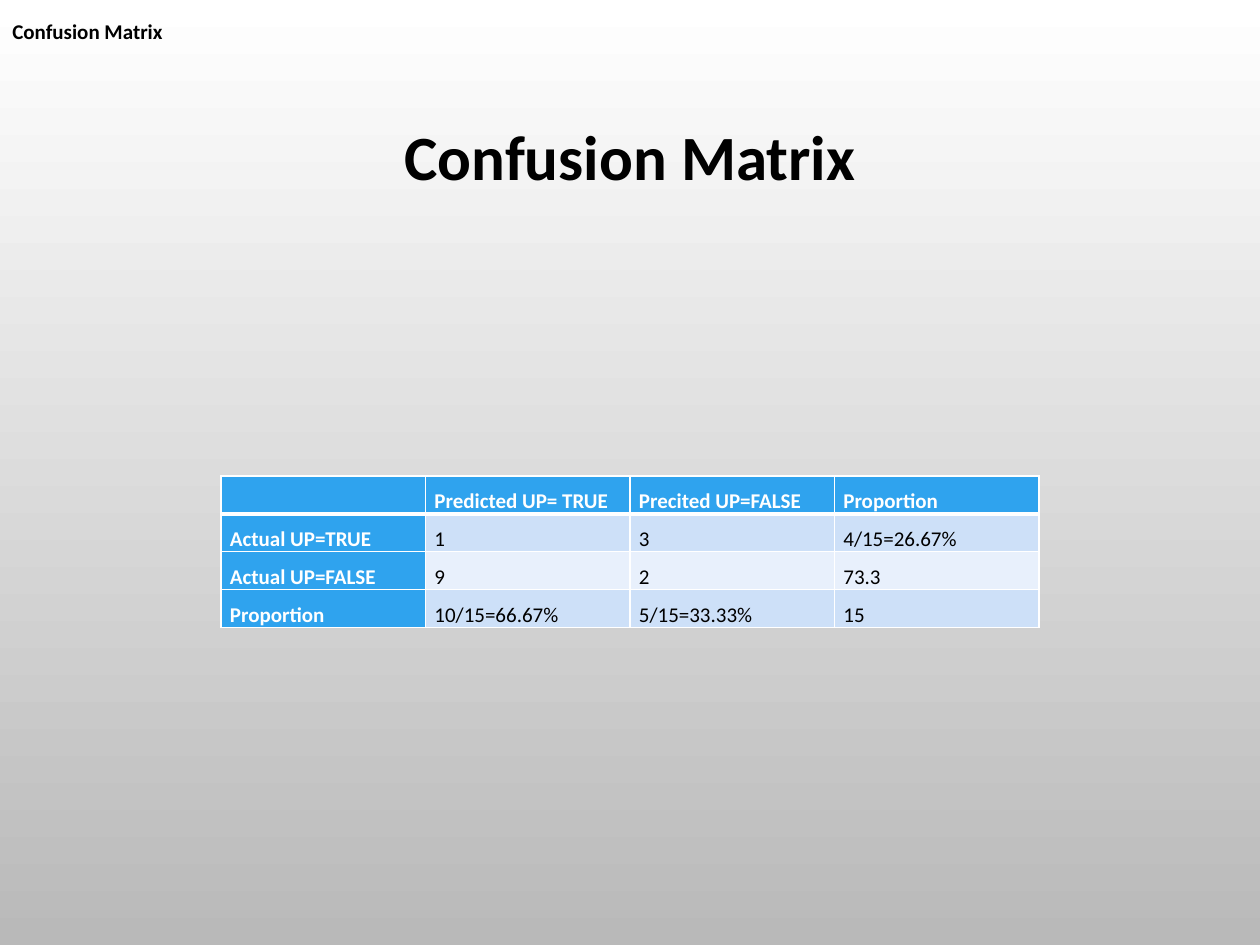
from lxml.etree import SubElement
from pptx import Presentation
from pptx.dml.color import RGBColor
from pptx.enum.text import MSO_ANCHOR as Anchor, PP_ALIGN as Align
from pptx.oxml.ns import qn
from pptx.util import Emu, Pt

COLORS = {
    "text": "000000",
    "white": "FFFFFF",
    "shade": "B9B9B9",
    "header": "2FA3EE",
    "odd": "CDE0F8",
    "even": "E8F0FC",
}
TITLE = "Confusion Matrix"
MATRIX = [
    ["", "Predicted UP= TRUE", "Precited UP=FALSE", "Proportion"],
    ["Actual UP=TRUE", "1", "3", "4/15=26.67%"],
    ["Actual UP=FALSE", "9", "2", "73.3"],
    ["Proportion", "10/15=66.67%", "5/15=33.33%", "15"],
]
TITLE_BOX = (94, 86, 1072, 220)
LABEL_BOX = (0, 0, 1260, 63)
TABLE_BOX = (221, 476, 818, 136)
SCALE = 914400 / 126


def px(value):
    return Emu(round(value * SCALE))


def color(name):
    return RGBColor.from_string(COLORS[name])


def write(frame, text, size=12, fill="text", bold=True, align=Align.LEFT, spacing=1.0):
    paragraph = frame.paragraphs[0]
    paragraph.alignment = align
    paragraph.line_spacing = spacing
    run = paragraph.add_run()
    run.text = text
    run.font.name = "Calibri"
    run.font.size = Pt(size)
    run.font.bold = bold
    run.font.color.rgb = color(fill)


def add_text(slide, box, text, bottom=6, **style):
    frame = slide.shapes.add_textbox(*map(px, box)).text_frame
    frame.word_wrap = True
    frame.vertical_anchor = Anchor.MIDDLE
    frame.margin_bottom = px(bottom)
    write(frame, text, **style)


def set_borders(cell, bottom):
    properties = cell._tc.get_or_add_tcPr()
    widths = {"a:lnL": 1, "a:lnR": 1, "a:lnT": 1, "a:lnB": bottom}
    for index, (tag, width) in enumerate(widths.items()):
        line = SubElement(properties, qn(tag), w=str(Pt(width)))
        fill = SubElement(line, qn("a:solidFill"))
        SubElement(fill, qn("a:srgbClr"), val=COLORS["white"])
        properties.insert(index, line)


def add_matrix(slide):
    left, top, width, height = TABLE_BOX
    rows, columns = len(MATRIX), len(MATRIX[0])
    table = slide.shapes.add_table(rows, columns, *map(px, TABLE_BOX)).table
    for column in table.columns:
        column.width = px(width / columns)
    for row in table.rows:
        row.height = px(height / rows)
    for r, values in enumerate(MATRIX):
        for c, value in enumerate(values):
            cell = table.cell(r, c)
            header = r == 0 or c == 0
            cell.margin_left = cell.margin_right = px(9)
            cell.margin_top = cell.margin_bottom = 0
            cell.fill.solid()
            cell.fill.fore_color.rgb = color("header" if header else "odd" if r % 2 else "even")
            set_borders(cell, 3 if r == 0 else 1)
            if value:
                write(cell.text_frame, value, fill="white" if header else "text",
                      bold=header, align=Align.JUSTIFY, spacing=1.5)


def main():
    presentation = Presentation()
    presentation.slide_width, presentation.slide_height = px(1260), px(945)
    slide = presentation.slides.add_slide(presentation.slide_layouts[6])
    background = slide.background.fill
    background.gradient()
    background.gradient_angle = 270
    for stop, name, position in zip(background.gradient_stops, ("white", "shade"), (0, 1)):
        stop.color.rgb = color(name)
        stop.position = position
    add_text(slide, TITLE_BOX, TITLE, bottom=78, size=36, align=Align.CENTER, spacing=0.9)
    add_matrix(slide)
    add_text(slide, LABEL_BOX, TITLE)
    presentation.save("out.pptx")


if __name__ == "__main__":
    main()
